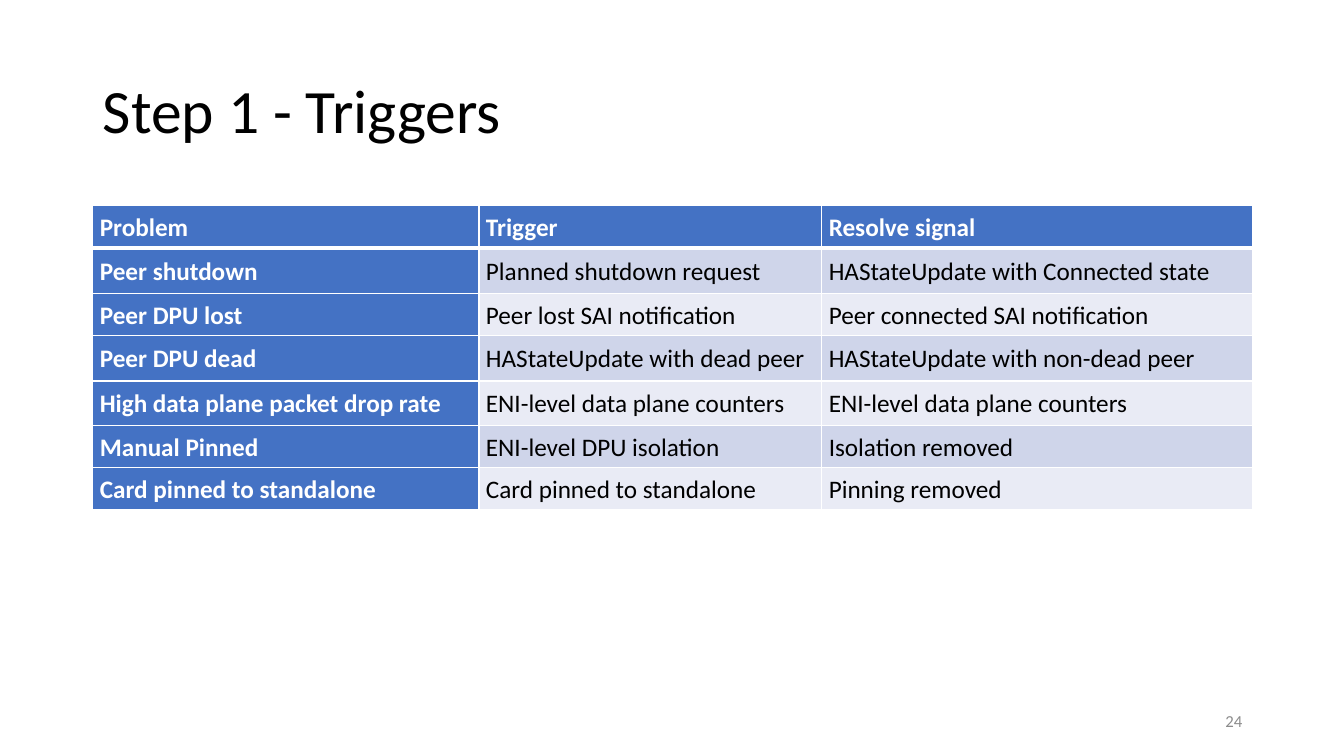
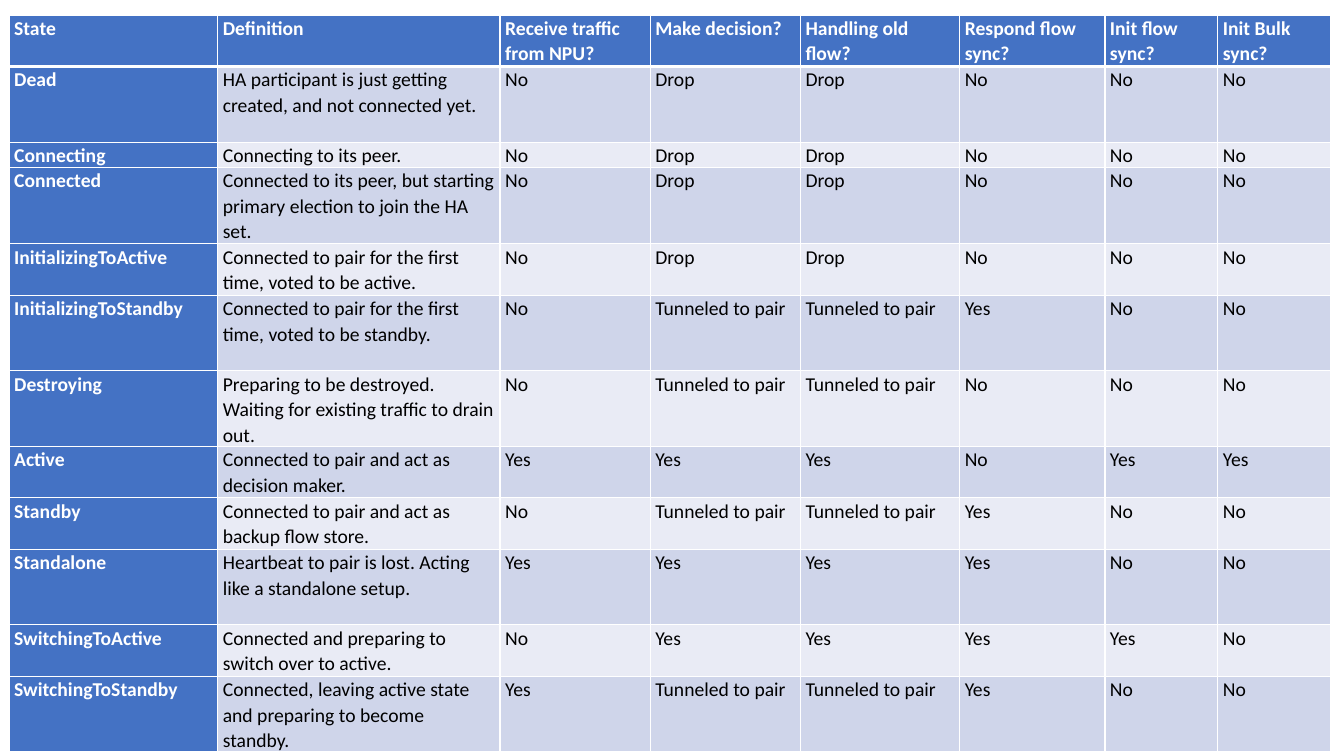
from dataclasses import dataclass

from lxml.etree import SubElement
from pptx import Presentation
from pptx.dml.color import RGBColor
from pptx.enum.text import MSO_ANCHOR, MSO_AUTO_SIZE, PP_ALIGN
from pptx.oxml.ns import qn
from pptx.util import Inches, Pt

FONT = "Calibri"
BLACK, WHITE, GRAY = "000000", "FFFFFF", "8C8C8C"
ACCENT, BAND_DARK, BAND_LIGHT = "4472C4", "CFD5EA", "E9EBF5"
TITLE_ONLY, BLANK = 5, 6
THIN, THICK = 1, 3


@dataclass
class TableSpec:
    left: float
    top: float
    col_widths: list[float]
    row_heights: list[float]
    rows: list[tuple[str, ...]]
    size: int
    side_margin: float
    anchor: MSO_ANCHOR


TRIGGERS = TableSpec(
    left=0.92, top=2.04,
    col_widths=[3.83, 3.4, 4.27],
    row_heights=[0.42, 0.45, 0.42, 0.45, 0.44, 0.42, 0.42],
    rows=[
        ("Problem", "Trigger", "Resolve signal"),
        ("Peer shutdown", "Planned shutdown request", "HAStateUpdate with Connected state"),
        ("Peer DPU lost", "Peer lost SAI notification", "Peer connected SAI notification"),
        ("Peer DPU dead", "HAStateUpdate with dead peer", "HAStateUpdate with non-dead peer"),
        ("High data plane packet drop rate", "ENI-level data plane counters",
         "ENI-level data plane counters"),
        ("Manual Pinned", "ENI-level DPU isolation", "Isolation removed"),
        ("Card pinned to standalone", "Card pinned to standalone", "Pinning removed"),
    ],
    size=18, side_margin=0.07, anchor=MSO_ANCHOR.MIDDLE,
)

TUNNEL = "Tunneled to pair"
STATES = TableSpec(
    left=0.09, top=0.15,
    col_widths=[2.07, 2.8, 1.49, 1.49, 1.58, 1.44, 1.12, 1.12],
    row_heights=[0.51, 0.75, 0.25, 0.76, 0.51, 0.75, 0.75, 0.51, 0.51, 0.75, 0.51, 0.75],
    rows=[
        ("State", "Definition", "Receive traffic from NPU?", "Make decision?",
         "Handling old flow?", "Respond flow sync?", "Init flow sync?", "Init Bulk sync?"),
        ("Dead", "HA participant is just getting created, and not connected yet.",
         "No", "Drop", "Drop", "No", "No", "No"),
        ("Connecting", "Connecting to its peer.",
         "No", "Drop", "Drop", "No", "No", "No"),
        ("Connected", "Connected to its peer, but starting primary election to join the HA set.",
         "No", "Drop", "Drop", "No", "No", "No"),
        ("InitializingToActive", "Connected to pair for the first time, voted to be active.",
         "No", "Drop", "Drop", "No", "No", "No"),
        ("InitializingToStandby", "Connected to pair for the first time, voted to be standby.",
         "No", TUNNEL, TUNNEL, "Yes", "No", "No"),
        ("Destroying", "Preparing to be destroyed. Waiting for existing traffic to drain out.",
         "No", TUNNEL, TUNNEL, "No", "No", "No"),
        ("Active", "Connected to pair and act as decision maker.",
         "Yes", "Yes", "Yes", "No", "Yes", "Yes"),
        ("Standby", "Connected to pair and act as backup flow store.",
         "No", TUNNEL, TUNNEL, "Yes", "No", "No"),
        ("Standalone", "Heartbeat to pair is lost. Acting like a standalone setup.",
         "Yes", "Yes", "Yes", "Yes", "No", "No"),
        ("SwitchingToActive", "Connected and preparing to switch over to active.",
         "No", "Yes", "Yes", "Yes", "Yes", "No"),
        ("SwitchingToStandby", "Connected, leaving active state and preparing to become standby.",
         "Yes", TUNNEL, TUNNEL, "Yes", "No", "No"),
    ],
    size=14, side_margin=0.05, anchor=MSO_ANCHOR.TOP,
)


def rgb(color: str) -> RGBColor:
    return RGBColor.from_string(color)


def add_run(p, text: str, size: int, color: str, bold: bool = False) -> None:
    r = p.add_run()
    r.text = text
    r.font.name = FONT
    r.font.size = Pt(size)
    r.font.bold = bold
    r.font.color.rgb = rgb(color)


def set_borders(cell, row: int) -> None:
    """Draw white cell edges, with a thick one under the header row."""
    tc_pr = cell._tc.get_or_add_tcPr()
    widths = {
        "a:lnL": THIN,
        "a:lnR": THIN,
        "a:lnT": THICK if row == 1 else THIN,
        "a:lnB": THICK if row == 0 else THIN,
    }
    for i, (tag, width) in enumerate(widths.items()):
        ln = SubElement(tc_pr, qn(tag), w=str(Pt(width)))
        SubElement(SubElement(ln, qn("a:solidFill")), qn("a:srgbClr"), val=WHITE)
        tc_pr.insert(i, ln)


def format_cell(cell, text: str, row: int, col: int, spec: TableSpec) -> None:
    heading = row == 0 or col == 0
    band = BAND_DARK if row % 2 else BAND_LIGHT
    cell.fill.solid()
    cell.fill.fore_color.rgb = rgb(ACCENT if heading else band)
    cell.margin_left = cell.margin_right = Inches(spec.side_margin)
    cell.margin_top = cell.margin_bottom = 0
    cell.vertical_anchor = spec.anchor
    p = cell.text_frame.paragraphs[0]
    p.line_spacing = 1.07
    add_run(p, text, spec.size, WHITE if heading else BLACK, heading)
    set_borders(cell, row)


def add_grid(s, spec: TableSpec) -> None:
    table = s.shapes.add_table(
        len(spec.rows), len(spec.col_widths),
        Inches(spec.left), Inches(spec.top),
        Inches(sum(spec.col_widths)), Inches(sum(spec.row_heights)),
    ).table
    table.first_col = True
    for column, width in zip(table.columns, spec.col_widths):
        column.width = Inches(width)
    for row, height in zip(table.rows, spec.row_heights):
        row.height = Inches(height)
    for i, texts in enumerate(spec.rows):
        for j, text in enumerate(texts):
            format_cell(table.cell(i, j), text, i, j, spec)


def set_title(s, text: str) -> None:
    sp = s.shapes.title
    sp.left, sp.top = Inches(0.92), Inches(0.4)
    sp.width, sp.height = Inches(11.5), Inches(1.45)
    tf = sp.text_frame
    tf.auto_size = MSO_AUTO_SIZE.NONE
    tf.vertical_anchor = MSO_ANCHOR.MIDDLE
    p = tf.paragraphs[0]
    p.alignment = PP_ALIGN.LEFT
    p.line_spacing = 0.9
    add_run(p, text, 44, BLACK)


def add_page_number(s, number: int) -> None:
    sp = s.shapes.add_textbox(Inches(9.42), Inches(6.95), Inches(3), Inches(0.4))
    tf = sp.text_frame
    tf.word_wrap = True
    tf.vertical_anchor = MSO_ANCHOR.MIDDLE
    p = tf.paragraphs[0]
    p.alignment = PP_ALIGN.RIGHT
    add_run(p, str(number), 12, GRAY)


def main() -> None:
    prs = Presentation()
    prs.slide_width, prs.slide_height = Inches(13.33), Inches(7.5)

    s = prs.slides.add_slide(prs.slide_layouts[TITLE_ONLY])
    set_title(s, "Step 1 - Triggers")
    add_page_number(s, 24)
    add_grid(s, TRIGGERS)

    s = prs.slides.add_slide(prs.slide_layouts[BLANK])
    add_grid(s, STATES)

    prs.save("out.pptx")


if __name__ == "__main__":
    main()
